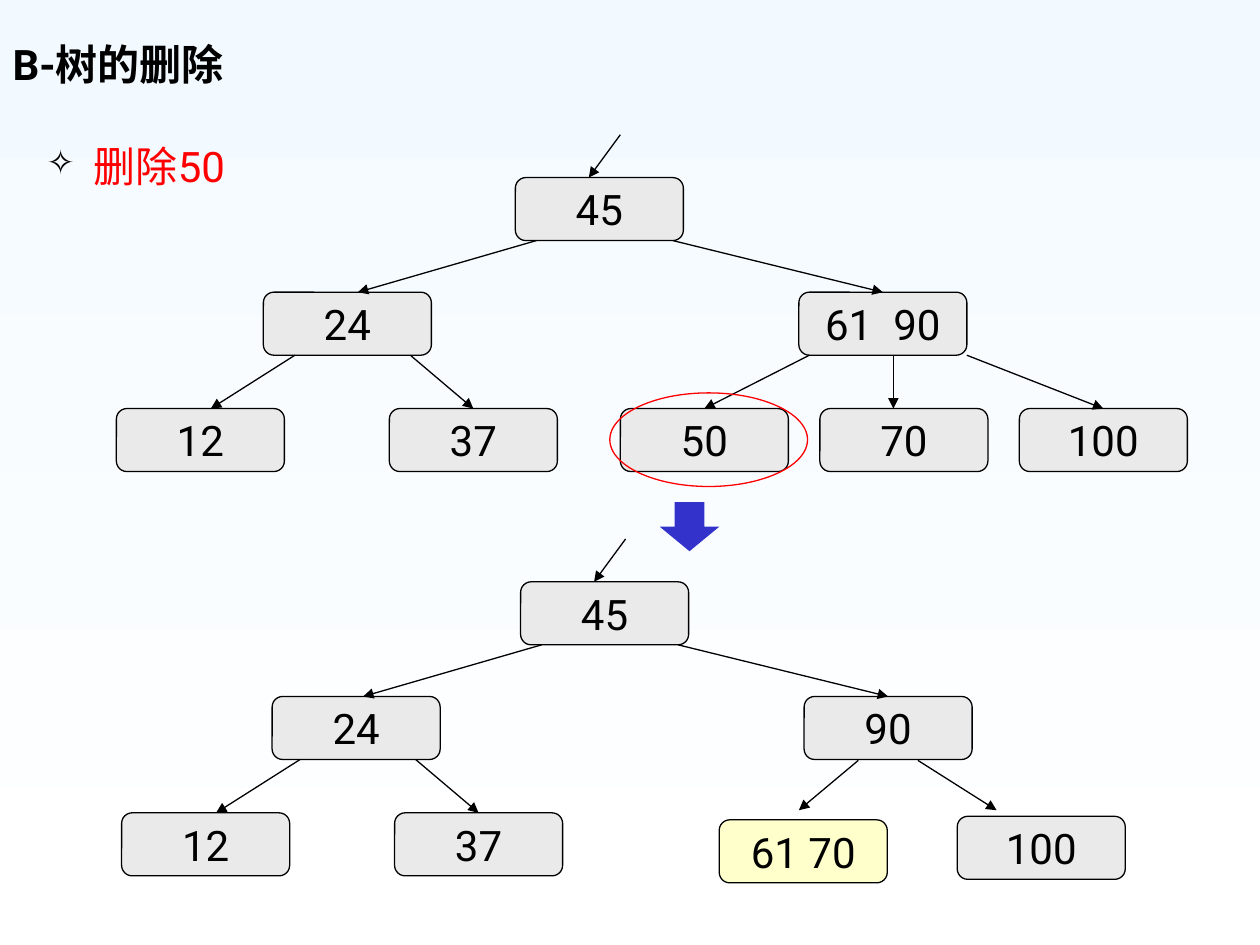
from lxml import etree
from pptx import Presentation
from pptx.dml.color import RGBColor
from pptx.enum.shapes import MSO_CONNECTOR, MSO_SHAPE
from pptx.enum.text import MSO_ANCHOR, PP_ALIGN
from pptx.oxml.ns import qn
from pptx.util import Pt

STRAIGHT = MSO_CONNECTOR.STRAIGHT
ROUNDED, OVAL, DOWN_ARROW = (
    MSO_SHAPE.ROUNDED_RECTANGLE, MSO_SHAPE.OVAL, MSO_SHAPE.DOWN_ARROW)
TOP, MIDDLE, BOTTOM = MSO_ANCHOR.TOP, MSO_ANCHOR.MIDDLE, MSO_ANCHOR.BOTTOM
LEFT, CENTER = PP_ALIGN.LEFT, PP_ALIGN.CENTER

BLACK, RED, BLUE = "000000", "FF0000", "3333CC"
GREY, YELLOW = "EAEAEA", "FFFFCB"
NODE_WIDTH, NODE_HEIGHT = 96, 36
TOP_SIDE = 0
LINE_WIDTH = 0.75
KEY_GAP = "600"
FONT = {"name": "Roboto", "size": Pt(24), "bold": False}


def color(hex_value):
    """Turn a hex string into a colour."""
    return RGBColor.from_string(hex_value)


def apply(target, formats):
    """Set each named format value on the target."""
    for name, value in formats.items():
        setattr(target, name, value)


def write(paragraph, text, ink=BLACK, **changes):
    """Add a formatted run to a paragraph and return it."""
    run = paragraph.add_run()
    run.text = text
    apply(run.font, FONT | changes)
    run.font.color.rgb = color(ink)
    return run


def paint_background(slide):
    """Fill the slide with a vertical gradient."""
    fill = slide.background.fill
    fill.gradient()
    fill.gradient_angle = 270
    for stop, hex_value in zip(fill.gradient_stops, ("F3FAFF", "FFFFFF")):
        stop.color.rgb = color(hex_value)


def add_title(slide, text):
    """Place and write the slide title."""
    title = slide.shapes.title
    apply(title, {"left": Pt(0), "top": Pt(0), "width": Pt(613.5), "height": Pt(54.5)})
    apply(title.text_frame, {"vertical_anchor": BOTTOM, "word_wrap": True})
    paragraph = title.text_frame.paragraphs[0]
    paragraph.alignment = LEFT
    write(paragraph, text, bold=True)


def add_task(slide, text):
    """Write the bulleted task line."""
    task = slide.shapes.add_textbox(Pt(19.5), Pt(77), Pt(306), Pt(96.5))
    apply(task.text_frame, {"vertical_anchor": TOP, "word_wrap": True})
    paragraph = task.text_frame.paragraphs[0]
    properties = paragraph._p.get_or_add_pPr()
    properties.set("marL", str(Pt(27)))
    properties.set("indent", str(Pt(-27)))
    bullet_color = etree.SubElement(properties, qn("a:buClr"))
    etree.SubElement(bullet_color, qn("a:srgbClr"), val=BLACK)
    etree.SubElement(properties, qn("a:buSzPct"), val="80000")
    etree.SubElement(properties, qn("a:buChar"), char="✧")
    write(paragraph, text, RED)


def add_figure(slide, preset, left, top, width, height, fill=None, line=None):
    """Add a preset shape with an optional fill and outline."""
    figure = slide.shapes.add_shape(preset, Pt(left), Pt(top), Pt(width), Pt(height))
    figure.shadow.inherit = False
    if fill:
        figure.fill.solid()
        figure.fill.fore_color.rgb = color(fill)
    else:
        figure.fill.background()
    if line:
        figure.line.color.rgb = color(line)
        figure.line.width = Pt(LINE_WIDTH)
    else:
        figure.line.fill.background()
    return figure


def add_node(slide, keys, left, top, fill=GREY, spread=False):
    """Add a tree node, with its keys spread apart if asked."""
    node = add_figure(slide, ROUNDED, left, top, NODE_WIDTH, NODE_HEIGHT, fill, BLACK)
    apply(node.text_frame, {"vertical_anchor": MIDDLE, "word_wrap": False})
    paragraph = node.text_frame.paragraphs[0]
    paragraph.alignment = CENTER
    if spread:
        first, gap, last = keys.partition(" ")
        write(paragraph, first)
        write(paragraph, gap)._r.get_or_add_rPr().set("spc", KEY_GAP)
        write(paragraph, last)
    else:
        write(paragraph, keys)
    return node


def add_edge(slide, start, end, child=None):
    """Draw an arrow, joined to the top of the child if one is given."""
    edge = slide.shapes.add_connector(STRAIGHT, *map(Pt, start + end))
    if child is not None:
        edge.end_connect(child, TOP_SIDE)
    edge.line.color.rgb = color(BLACK)
    edge.line.width = Pt(LINE_WIDTH)
    etree.SubElement(edge.line._get_or_add_ln(), qn("a:tailEnd"), type="triangle")
    etree.SubElement(edge._element.spPr, qn("a:effectLst"))


def add_tree(slide, x, y, right_keys, left_shift=0, spread=False):
    """Draw the root, its left subtree and its right child from the root's corner."""
    level = y + 65.5
    leaves = y + 132
    add_node(slide, "45", x, y)
    add_node(slide, "24", x - 144 + left_shift, level)
    right = add_node(slide, right_keys, x + 162, level, spread=spread)
    add_node(slide, "12", x - 228, leaves)
    leaf = add_node(slide, "37", x - 72, leaves)
    root_foot, level_foot = y + NODE_HEIGHT, level + NODE_HEIGHT
    for start, end, child in (
        ((x + 60, y - 24.5), (x + 42, y), None),
        ((x + 12, root_foot), (x - 90, level), None),
        ((x + 90, root_foot), (x + 210, level), right),
        ((x - 126, level_foot), (x - 174, leaves), None),
        ((x - 60, level_foot), (x - 24, leaves), leaf),
    ):
        add_edge(slide, start, end, child)


def add_tree_before(slide):
    """Draw the tree that still holds the key, and ring that key."""
    add_tree(slide, 294.5, 101.5, "61 90", spread=True)
    foot, leaves = 203, 233.5
    for keys, left, start, end, joined in (
        ("50", 354.5, 462.5, 402.5, True),
        ("70", 468.5, 510.5, 510.5, False),
        ("100", 582.5, 552.5, 630.5, True),
    ):
        leaf = add_node(slide, keys, left, leaves)
        add_edge(slide, (start, foot), (end, leaves), leaf if joined else None)
    add_figure(slide, OVAL, 348.5, 224.5, 113, 53.5, line=RED)


def add_tree_after(slide):
    """Draw the tree once the key is gone, with the merged leaf in yellow."""
    add_tree(slide, 297.5, 332.5, "90", left_shift=2)
    foot, tip = 434.5, 463
    for keys, left, top, fill, start, end in (
        ("61 70", 411, 468.5, YELLOW, 490.5, 456.5),
        ("100", 547, 466.5, GREY, 524.5, 569.5),
    ):
        add_node(slide, keys, left, top, fill)
        add_edge(slide, (start, foot), (end, tip))


def main():
    """Build the slide and save it."""
    deck = Presentation()
    apply(deck, {"slide_width": Pt(720), "slide_height": Pt(540)})
    slide = deck.slides.add_slide(deck.slide_layouts[5])
    paint_background(slide)
    add_title(slide, "B-树的删除")
    add_task(slide, "删除50")
    add_tree_before(slide)
    add_figure(slide, DOWN_ARROW, 377, 287, 34, 28, fill=BLUE)
    add_tree_after(slide)
    deck.save("out.pptx")


if __name__ == "__main__":
    main()
